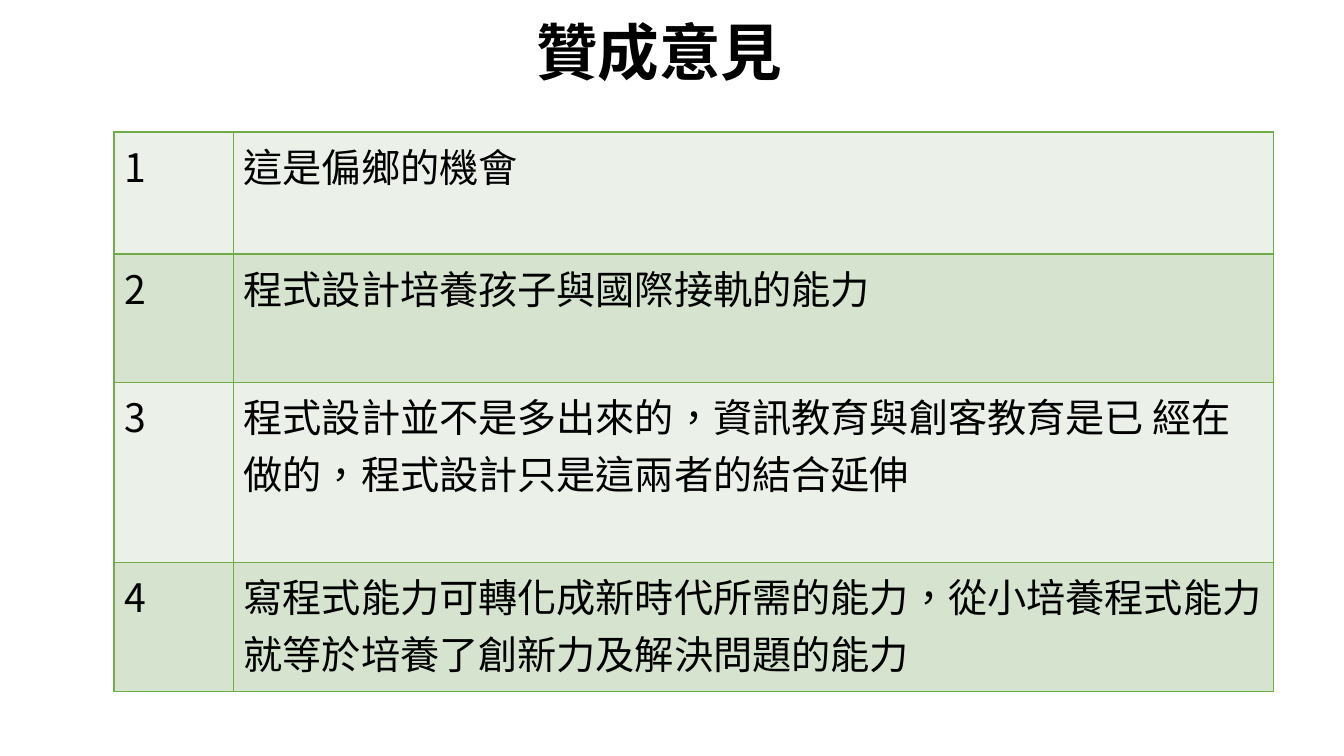
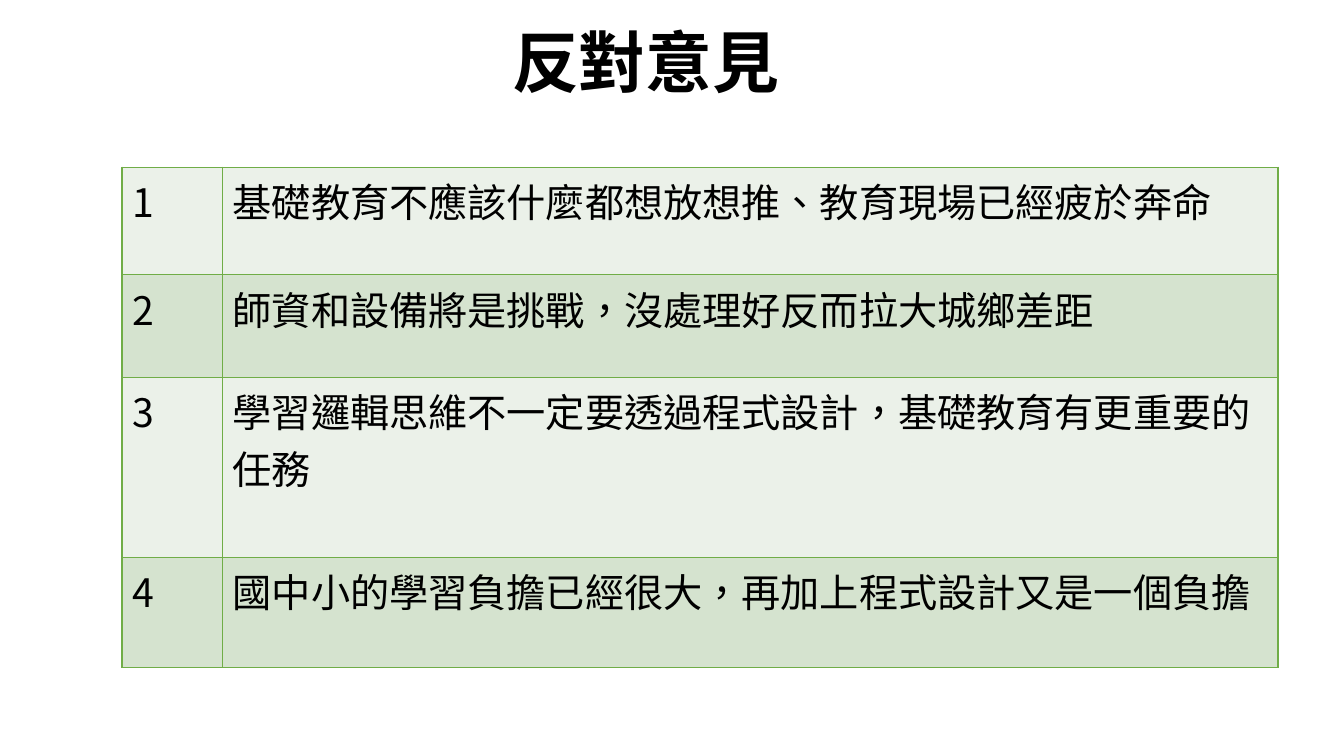
from dataclasses import dataclass

from lxml import etree
from pptx import Presentation
from pptx.dml.color import RGBColor
from pptx.enum.text import MSO_ANCHOR, PP_ALIGN
from pptx.oxml.ns import qn
from pptx.util import Pt

LEFT, MIDDLE = PP_ALIGN.LEFT, MSO_ANCHOR.MIDDLE
TITLE_ONLY = 5


@dataclass(frozen=True)
class Theme:
    font: str = "Noto Sans CJK SC"
    language: str = "zh-TW"
    text: str = "000000"
    border: str = "70AD47"
    bands: tuple = ("EBF1E9", "D5E3CF")
    border_width: float = 1
    body_size: float = 28
    title_spacing: float = 0.9


THEME = Theme()

OPINION_SLIDES = [
    {
        "title": "贊成意見",
        "title_size": 44,
        "title_box": (375.8, 8.6, 273.6, 62.6),
        "table_origin": (81.4, 94.3),
        "columns": (85.4, 742.8),
        "rows": (87.1, 91.6, 128.6, 92.2),
        "opinions": [
            "這是偏鄉的機會",
            "程式設計培養孩子與國際接軌的能力",
            "程式設計並不是多出來的，資訊教育與創客教育是已 經在做的，程式設計只是這兩者的結合延伸",
            "寫程式能力可轉化成新時代所需的能力，從小培養程式能力就等於培養了創新力及解決問題的能力",
        ],
    },
    {
        "title": "反對意見",
        "title_size": 47.7,
        "title_box": (358.6, 13, 217.4, 67.7),
        "table_origin": (87.1, 119.5),
        "columns": (72, 753.8),
        "rows": (76.7, 73.4, 128.6, 78.5),
        "opinions": [
            "基礎教育不應該什麼都想放想推、教育現場已經疲於奔命",
            "師資和設備將是挑戰，沒處理好反而拉大城鄉差距",
            "學習邏輯思維不一定要透過程式設計，基礎教育有更重要的任務",
            "國中小的學習負擔已經很大，再加上程式設計又是一個負擔",
        ],
    },
]


def write_text(text_frame, text, size, bold=False):
    """Write one left-aligned run, with the theme font for Latin and Chinese."""
    paragraph = text_frame.paragraphs[0]
    paragraph.alignment = LEFT
    run = paragraph.add_run()
    run.text = text
    formats = {"name": THEME.font, "size": Pt(size), "bold": bold}
    for attribute, value in formats.items():
        setattr(run.font, attribute, value)
    run.font.color.rgb = RGBColor.from_string(THEME.text)
    properties = run._r.get_or_add_rPr()
    properties.set("lang", THEME.language)
    etree.SubElement(properties, qn("a:ea"), typeface=THEME.font)
    return paragraph


def style_cell(cell, fill_color):
    cell.fill.solid()
    cell.fill.fore_color.rgb = RGBColor.from_string(fill_color)
    properties = cell._tc.get_or_add_tcPr()
    for position, side in enumerate(("a:lnL", "a:lnR", "a:lnT", "a:lnB")):
        line = etree.Element(qn(side), w=str(Pt(THEME.border_width)))
        fill = etree.SubElement(line, qn("a:solidFill"))
        etree.SubElement(fill, qn("a:srgbClr"), val=THEME.border)
        properties.insert(position, line)


presentation = Presentation()
presentation.slide_width, presentation.slide_height = Pt(960), Pt(540)

for content in OPINION_SLIDES:
    slide = presentation.slides.add_slide(presentation.slide_layouts[TITLE_ONLY])

    title = slide.shapes.title
    for side, length in zip(("left", "top", "width", "height"), content["title_box"]):
        setattr(title, side, Pt(length))
    title.text_frame.vertical_anchor = MIDDLE
    title.text_frame.word_wrap = True
    paragraph = write_text(
        title.text_frame, content["title"], content["title_size"], bold=True
    )
    paragraph.line_spacing = THEME.title_spacing

    columns, rows = content["columns"], content["rows"]
    left, top = content["table_origin"]
    table = slide.shapes.add_table(
        len(rows), len(columns), Pt(left), Pt(top), Pt(sum(columns)), Pt(sum(rows))
    ).table
    table.first_row = False
    table.horz_banding = False
    for column, width in zip(table.columns, columns):
        column.width = Pt(width)
    for row, height in zip(table.rows, rows):
        row.height = Pt(height)

    for row_index, opinion in enumerate(content["opinions"]):
        band = THEME.bands[row_index % len(THEME.bands)]
        for column_index, text in enumerate((str(row_index + 1), opinion)):
            cell = table.cell(row_index, column_index)
            write_text(cell.text_frame, text, THEME.body_size)
            style_cell(cell, band)

presentation.save("out.pptx")
